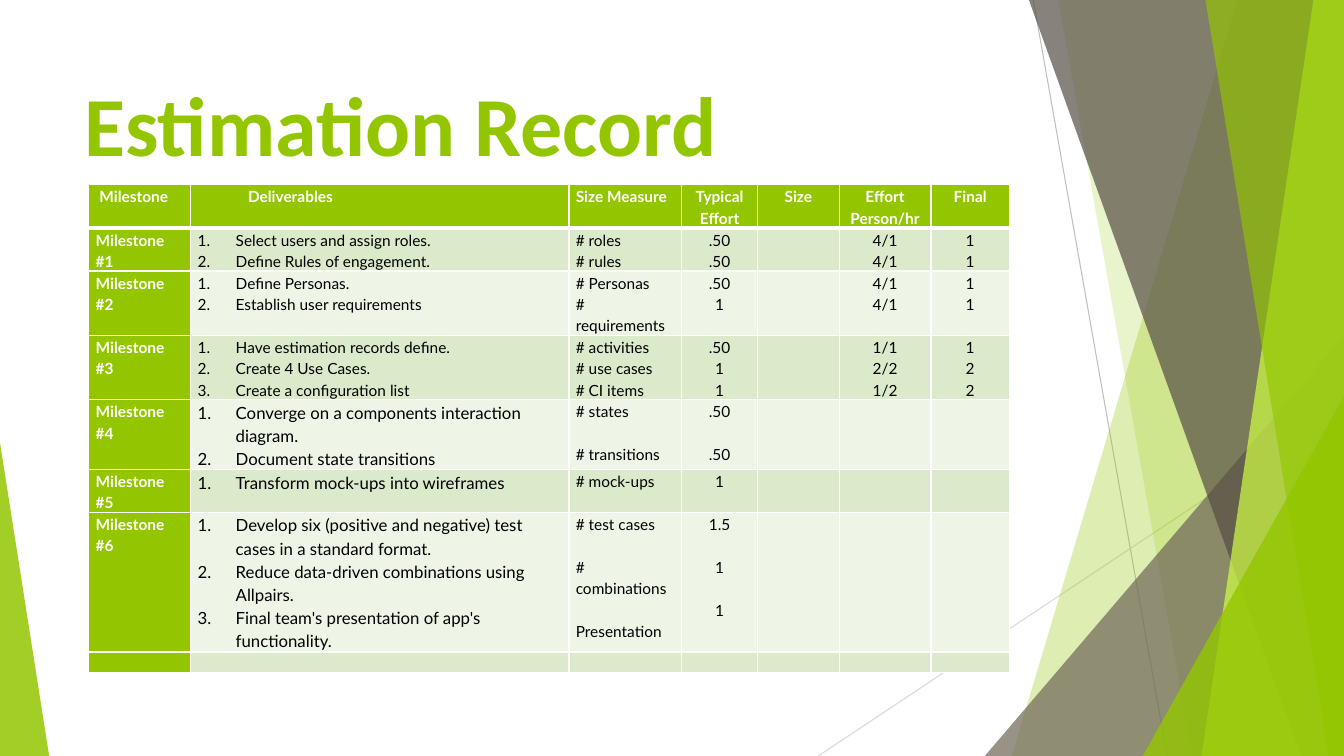
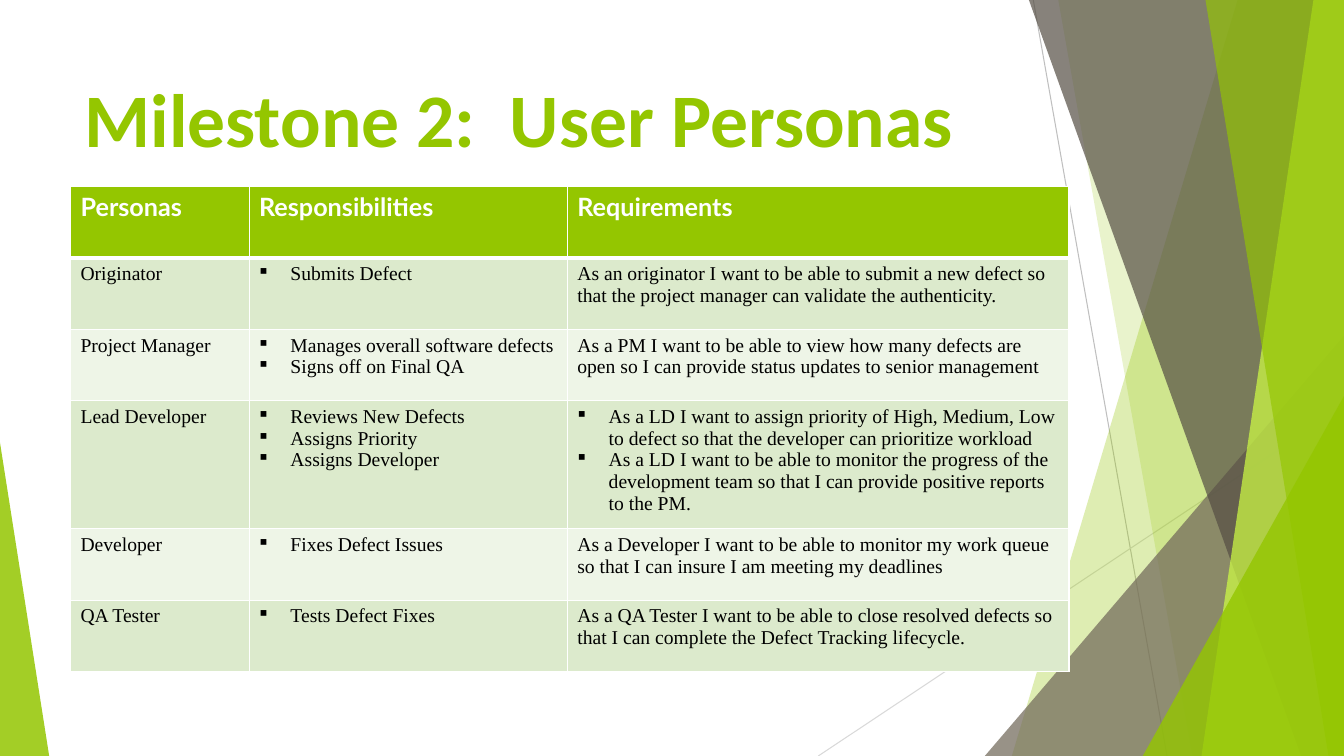
from lxml import etree
from pptx import Presentation
from pptx.dml.color import RGBColor
from pptx.enum import shapes, text
from pptx.oxml import ns
from pptx.util import Cm, Pt

# Shared look (lengths in cm)
WIDTH, HEIGHT = 33.87, 19.05
GREEN, WHITE, BLACK = "94C600", "FFFFFF", "000000"
BANDS = ("DCEACC", "EEF5E7")
LINES = [  # start x, start y, end x, end y, colour
    (26.04, 0, 29.41, HEIGHT, "BFBFBF"),
    (WIDTH, 10.24, 20.62, HEIGHT, "D9D9D9"),
]
FACETS = [  # slab: top x, bottom x; wedge: left, top, width, apex
    ("slab", (31.19, 25.5), GREEN, 30),
    ("slab", (26.67, 30.05), GREEN, 20),
    ("wedge", (24.82, 8.46, 9.05, 1), "71685A", 72),
    ("slab", (25.93, 32.79), "554E44", 70),
    ("slab", (33.1, 30.28), "D0FF44", 70),
    ("slab", (30.38, 33.48), GREEN, 65),
    ("wedge", (28.8, 9.98, 5.07, 1), GREEN, 80),
    ("wedge", (0, 11.15, 1.24, 0), GREEN, 85),
]

# Estimation record: a cell is one string or a list of paragraphs
ESTIMATES = [
    ["\u00a0Milestone", "Deliverables", "Size Measure", "Typical Effort", "Size",
     ["Effort", "Person/hr"], "Final"],
    ["Milestone #1", ["Select users and assign roles.", "Define Rules of engagement."],
     ["# roles", "# rules"], [".50", ".50"], "", ["4/1", "4/1"], ["1", "1"]],
    ["Milestone #2", ["Define Personas.", "Establish user requirements"],
     ["# Personas", "# requirements"], [".50", "1"], "", ["4/1", "4/1"], ["1", "1"]],
    ["Milestone #3",
     ["Have estimation records define.", "Create 4 Use Cases.", "Create a configuration list"],
     ["# activities", "# use cases", "# CI items"], [".50", "1", "1"], "",
     ["1/1", "2/2", "1/2"], ["1", "2", "2"]],
    ["Milestone #4",
     ["Converge on a components interaction diagram.", "Document state transitions"],
     ["# states", "# transitions"], [".50", ".50"], "", "", ""],
    ["Milestone #5", ["Transform mock-ups into wireframes"], "# mock-ups", "1", "", "", ""],
    ["Milestone #6",
     ["Develop six (positive and negative) test cases in a standard format.",
      "Reduce data-driven combinations using Allpairs.",
      "Final team's presentation of app's functionality."],
     ["# test cases", "# combinations", "Presentation"], ["1.5", "1", "1"], "", "", ""],
    [""] * 7,
]
ESTIMATE_COLUMNS = [2.57, 9.53, 2.84, 1.91, 2.06, 2.31, 1.98]
ESTIMATE_ROWS = [1.1, 1.08, 1.62, 1.62, 1.76, 1.08, 3.52, 0.52]

# Personas: a list is bulleted
PERSONAS = [
    ["Personas", "Responsibilities", "Requirements"],
    ["Originator", ["Submits Defect"],
     "As an originator I want to be able to submit a new defect so that the project manager "
     "can validate the authenticity."],
    ["Project Manager", ["Manages overall software defects", "Signs off on Final QA"],
     "As a PM I want to be able to view how many defects are open so I can provide status "
     "updates to senior management"],
    ["Lead Developer", ["Reviews New Defects", "Assigns Priority", "Assigns Developer"],
     ["As a LD I want to assign priority of High, Medium, Low to defect so that the developer "
      "can prioritize workload",
      "As a LD I want to be able to monitor the progress of the development team so that I can "
      "provide positive reports to the PM."]],
    ["Developer", ["Fixes Defect Issues"],
     "As a Developer I want to be able to monitor my work queue so that I can insure I am "
     "meeting my deadlines"],
    ["QA Tester", ["Tests Defect Fixes"],
     "As a QA Tester I want to be able to close resolved defects so that I can complete the "
     "Defect Tracking lifecycle."],
]
PERSONA_COLUMNS = [4.5, 8.02, 12.64]
PERSONA_ROWS = [1.8, 1.8, 1.8, 2.96, 1.8, 1.8]


def rgb(colour):
    return RGBColor.from_string(colour)


def add_xml(parent, tag, **attributes):
    return etree.SubElement(parent, ns.qn(tag), attributes)


def paint(target, colour):
    target.fill.solid()
    target.fill.fore_color.rgb = rgb(colour)


def set_font(para, name, size, colour, bold):
    font = para.font
    font.name, font.size, font.bold = name, Pt(size), bold
    font.color.rgb = rgb(colour)


# Background and title
def add_facet(page, kind, place, colour, opacity):
    if kind == "slab":
        top_x, bottom_x = place
        builder = page.shapes.build_freeform(Cm(top_x), 0)
        corners = [(WIDTH, 0), (WIDTH, HEIGHT), (bottom_x, HEIGHT)]
        builder.add_line_segments([(Cm(x), Cm(y)) for x, y in corners])
        facet = builder.convert_to_shape()
    else:
        left, top, width, apex = place
        facet = page.shapes.add_shape(shapes.MSO_SHAPE.ISOSCELES_TRIANGLE, Cm(left), Cm(top),
                                      Cm(width), Cm(HEIGHT - top))
        facet.adjustments[0] = apex
    facet.shadow.inherit = False
    facet.line.fill.background()
    paint(facet, colour)
    swatch = facet._element.spPr.find(".//" + ns.qn("a:srgbClr"))
    add_xml(swatch, "a:alpha", val=str(opacity * 1000))


def add_page(deck, title, title_size):
    page = deck.slides.add_slide(deck.slide_layouts[6])
    for *ends, colour in LINES:
        line = page.shapes.add_connector(shapes.MSO_CONNECTOR.STRAIGHT, *map(Cm, ends))
        line.line.color.rgb = rgb(colour)
        line.line.width = Pt(0.75)
        add_xml(line._element.spPr, "a:effectLst")
    for facet in FACETS:
        add_facet(page, *facet)
    box = page.shapes.add_textbox(Cm(1.88), Cm(1.7), Cm(23.88), Cm(3.66))
    box.text_frame.word_wrap = True
    para = box.text_frame.paragraphs[0]
    para.text = title
    set_font(para, "Calibri", title_size, GREEN, True)
    return page


# Tables
def add_borders(cell, is_header):
    properties = cell._tc.get_or_add_tcPr()
    for place, side in enumerate("LRTB"):
        points = 3 if is_header and side == "B" else 1
        border = etree.Element(ns.qn("a:ln" + side), w=str(Pt(points)))
        add_xml(add_xml(border, "a:solidFill"), "a:srgbClr", val=WHITE)
        properties.insert(place, border)


def indent_list(para, indent):
    properties = para._p.get_or_add_pPr()
    properties.set("marL", str(Cm(indent)))
    properties.set("indent", str(-Cm(indent)))
    return properties


def style_estimate(para, row, column, position):
    is_label = row == 0 or column == 0
    if row == 0 and column == 1:
        para._p.get_or_add_pPr().set("marL", str(Cm(1.27)))
    elif column == 1 and para.text:
        add_xml(indent_list(para, 0.96), "a:buAutoNum", type="arabicPeriod")
    if column >= 3:
        para.alignment = text.PP_ALIGN.CENTER
    para.line_spacing = 1.15
    if row in (4, 6) and column in (2, 3) and position:
        para.space_before = Pt(15.4)
    size = 12 if column == 1 and row in (4, 5, 6) else 11
    set_font(para, "Lato", size, WHITE if is_label else BLACK, is_label)


def style_persona(para, row, column, position):
    if isinstance(PERSONAS[row][column], list):
        properties = indent_list(para, 0.79)
        add_xml(properties, "a:buFont", typeface="Wingdings", charset="2")
        add_xml(properties, "a:buChar", char="\u00a7")
    if row == 0:
        set_font(para, "Lato", 18, WHITE, True)
    else:
        set_font(para, "Times New Roman", 14, BLACK, False)


def add_grid(page, left, top, columns, heights, content, style, margins, green_labels):
    frame = page.shapes.add_table(len(heights), len(columns), Cm(left), Cm(top),
                                  Cm(sum(columns)), Cm(sum(heights)))
    table = frame.table
    table.first_row = table.horz_banding = False
    for column, width in zip(table.columns, columns):
        column.width = Cm(width)
    for row, height in zip(table.rows, heights):
        row.height = Cm(height)
    side, edge = map(Cm, margins)
    for r, entries in enumerate(content):
        for c, entry in enumerate(entries):
            cell = table.cell(r, c)
            cell.margin_left = cell.margin_right = side
            cell.margin_top = cell.margin_bottom = edge
            is_green = r == 0 or (green_labels and c == 0)
            paint(cell, GREEN if is_green else BANDS[(r - 1) % 2])
            add_borders(cell, r == 0)
            cell.text = entry if isinstance(entry, str) else "\n".join(entry)
            for position, para in enumerate(cell.text_frame.paragraphs):
                style(para, r, c, position)


deck = Presentation()
deck.slide_width, deck.slide_height = Cm(WIDTH), Cm(HEIGHT)

page = add_page(deck, "Estimation Record", 60)
add_grid(page, 2.24, 4.65, ESTIMATE_COLUMNS, ESTIMATE_ROWS, ESTIMATES, style_estimate,
         (0.17, 0), True)

# The longer title is set smaller to stay on one line above the table
page = add_page(deck, "Milestone 2:  User Personas", 54)
add_grid(page, 1.78, 4.7, PERSONA_COLUMNS, PERSONA_ROWS, PERSONAS, style_persona,
         (0.25, 0.13), False)

deck.save("out.pptx")
